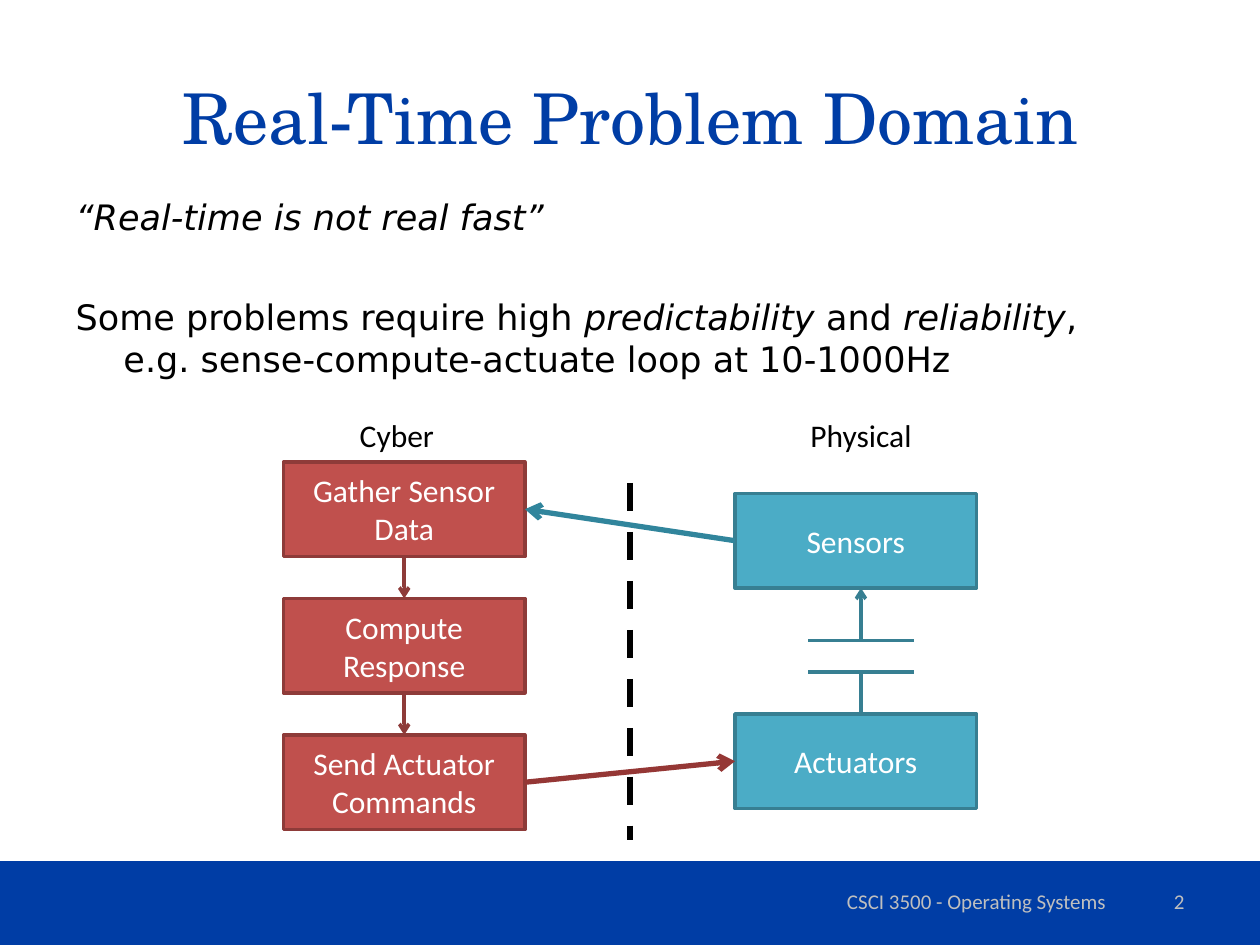
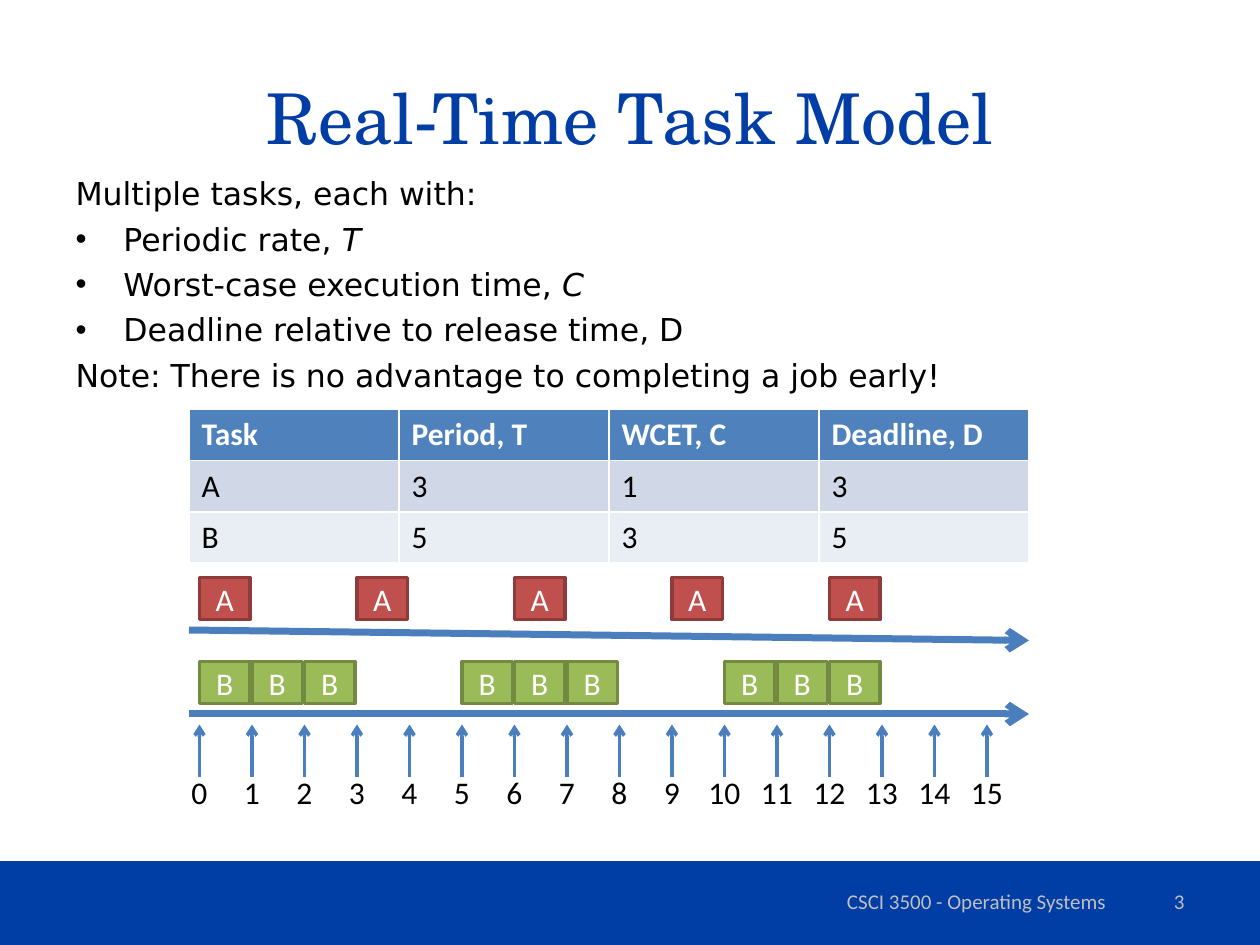
from lxml.etree import SubElement
from pptx import Presentation
from pptx.dml.color import RGBColor
from pptx.enum.dml import MSO_LINE
from pptx.enum.shapes import MSO_CONNECTOR, MSO_SHAPE
from pptx.enum.text import MSO_ANCHOR, MSO_AUTO_SIZE, PP_ALIGN
from pptx.oxml.ns import qn
from pptx.util import Inches, Pt

tint = RGBColor.from_string
NAVY, WHITE, BLACK, GREY = "003DA5", "FFFFFF", "000000", "BFBFBF"
RED, RUST, WINE = "C0504D", "8E3B39", "953735"
AQUA, TEAL, SEA = "4BACC6", "377F92", "31859C"
LIME, MOSS = "9BBB59", "738A42"
BLUE, STEEL = "4F81BD", "4B7EBC"
SANS = "Calibri"

deck = Presentation()
deck.slide_width, deck.slide_height = Inches(10), Inches(7.5)
COL, ROW = deck.slide_width / 120, deck.slide_height / 90


def box(page, x, y, w, h, text="", fill=None, edge=None, ink=WHITE, size=18, side=PP_ALIGN.CENTER):
    spot = int(x * COL), int(y * ROW), int(w * COL), int(h * ROW)
    if fill:
        shape = page.shapes.add_shape(MSO_SHAPE.RECTANGLE, *spot)
        shape.shadow.inherit = False
        shape.fill.solid()
        shape.fill.fore_color.rgb = tint(fill)
        if edge:
            shape.line.color.rgb = tint(edge)
            shape.line.width = Pt(2)
        else:
            shape.line.fill.background()
    else:
        shape = page.shapes.add_textbox(*spot)
    frame = shape.text_frame
    frame.word_wrap = True
    frame.vertical_anchor = MSO_ANCHOR.MIDDLE
    if text:
        para = frame.paragraphs[0]
        para.alignment = side
        run = para.add_run()
        run.text = text
        run.font.name, run.font.size = SANS, Pt(size)
        run.font.color.rgb = tint(ink)


def link(page, x1, y1, x2, y2, hue, width=2, head=True, dash=None):
    wire = page.shapes.add_connector(
        MSO_CONNECTOR.STRAIGHT, int(x1 * COL), int(y1 * ROW), int(x2 * COL), int(y2 * ROW))
    wire.line.color.rgb = tint(hue)
    wire.line.width = Pt(width)
    if dash:
        wire.line.dash_style = dash
    props = wire.element.spPr
    if head:
        SubElement(props.find(qn("a:ln")), qn("a:tailEnd"), type="arrow")
    SubElement(props, qn("a:effectLst"))


talks = [
    ("Real-Time Problem Domain", 18, 20, [
        (False, 0, [("“Real-time is not real fast”", True)]),
        (False, 33, [("Some problems require high ", False), ("predictability", True),
                     (" and ", False), ("reliability", True), (", ", False), None,
                     ("e.g. sense-compute-actuate loop at 10-1000Hz", False)]),
    ]),
    ("Real-Time Task Model", 16, 18, [
        (False, 0, [("Multiple tasks, each with:", False)]),
        (True, 4.3, [("Periodic rate, ", False), ("T", True)]),
        (True, 4.3, [("Worst-case execution time, ", False), ("C", True)]),
        (True, 4.3, [("Deadline relative to release time, D", False)]),
        (False, 4.3, [("Note: There is no advantage to completing a job early!", False)]),
    ]),
]

pages = []
for count, (name, top, size, paras) in enumerate(talks, 2):
    page = deck.slides.add_slide(deck.slide_layouts[1])
    pages.append(page)
    box(page, 0, 82, 120, 8, fill=NAVY)

    title, body = page.placeholders
    title.left, title.top, title.width, title.height = (
        int(6 * COL), int(3.6 * ROW), int(108 * COL), int(15 * ROW))
    frame = title.text_frame
    frame.vertical_anchor = MSO_ANCHOR.MIDDLE
    frame.auto_size = MSO_AUTO_SIZE.NONE
    para = frame.paragraphs[0]
    para.alignment = PP_ALIGN.CENTER
    run = para.add_run()
    run.text = name
    run.font.name, run.font.size = "TeX Gyre Schola", Pt(40)
    run.font.color.rgb = tint(NAVY)

    body.left, body.top, body.width, body.height = (
        int(6 * COL), int(top * ROW), int(108 * COL), int(59.4 * ROW))
    frame = body.text_frame
    frame.auto_size = MSO_AUTO_SIZE.NONE
    for turn, (mark, gap, runs) in enumerate(paras):
        para = frame.add_paragraph() if turn else frame.paragraphs[0]
        para.space_before = Pt(gap)
        props = para._p.get_or_add_pPr()
        props.set("marL", str(Inches(0.38)))
        props.set("indent", str(-Inches(0.38)))
        if mark:
            SubElement(props, qn("a:buChar"), char="•")
        else:
            SubElement(props, qn("a:buNone"))
        for part in runs:
            if part is None:
                para.add_line_break()
                continue
            run = para.add_run()
            run.text, run.font.italic = part
            run.font.name, run.font.size = "DejaVu Sans", Pt(size)
            run.font.color.rgb = tint(BLACK)

    box(page, 74, 83.4, 38, 4.8, "CSCI 3500 - Operating Systems", ink=GREY, size=12)
    box(page, 86, 83.4, 28, 4.8, str(count), ink=GREY, size=12, side=PP_ALIGN.RIGHT)

loop, model = pages

steps = ["Gather Sensor Data", "Compute Response", "Send Actuator Commands"]
for i, step in enumerate(steps):
    y = 44 + 13 * i
    box(loop, 27, y, 23, 9, step, RED, RUST)
    if i:
        link(loop, 38.5, y - 4, 38.5, y, RUST)
for y, part in [(68, "Actuators"), (47, "Sensors")]:
    box(loop, 70, y, 23, 9, part, AQUA, TEAL)
link(loop, 60, 46, 60, 80, BLACK, 4, False, MSO_LINE.DASH)
link(loop, 50, 74.5, 70, 72.5, WINE, 3)
link(loop, 70, 51.5, 50, 48.5, SEA, 3)
link(loop, 82, 64, 82, 68, TEAL, head=False)
for y in (64, 61):
    link(loop, 87, y, 77, y, TEAL, head=False)
link(loop, 82, 61, 82, 56, TEAL)
for x, side in [(37.8, "Cyber"), (82, "Physical")]:
    box(loop, x - 7, 39, 14, 4.8, side, ink=BLACK)

rows = [
    (BLUE, ["Task", "Period, T", "WCET, C", "Deadline, D"]),
    ("D0D8E8", ["A", "3", "1", "3"]),
    ("E9EDF4", ["B", "5", "3", "5"]),
]
grid = model.shapes.add_table(
    3, 4, int(18 * COL), int(39 * ROW), int(80 * COL), int(14.64 * ROW)).table
for r, (fill, words) in enumerate(rows):
    for c, word in enumerate(words):
        cell = grid.cell(r, c)
        cell.fill.solid()
        cell.fill.fore_color.rgb = tint(fill)
        run = cell.text_frame.paragraphs[0].add_run()
        run.text = word
        run.font.name, run.font.size, run.font.bold = SANS, Pt(18), r == 0
        run.font.color.rgb = tint(BLACK if r else WHITE)

ZERO, TICK = 19, 5
link(model, 18, 60, 98, 61, STEEL, 4)
link(model, 18, 68, 98, 68, STEEL, 4)
jobs = [("A", 55, RED, RUST, 3, 5, 1), ("B", 63, LIME, MOSS, 5, 3, 3)]
for task, y, fill, edge, span, times, cost in jobs:
    for job in range(times):
        for slot in range(cost):
            x = ZERO + TICK * (span * job + slot)
            box(model, x, y, 4.8, 4, task, fill, edge)
for t in range(16):
    x = ZERO + TICK * t
    link(model, x, 74, x, 69, STEEL)
    box(model, x - 3, 73, 6, 4.8, str(t), ink=BLACK)

deck.save("out.pptx")
